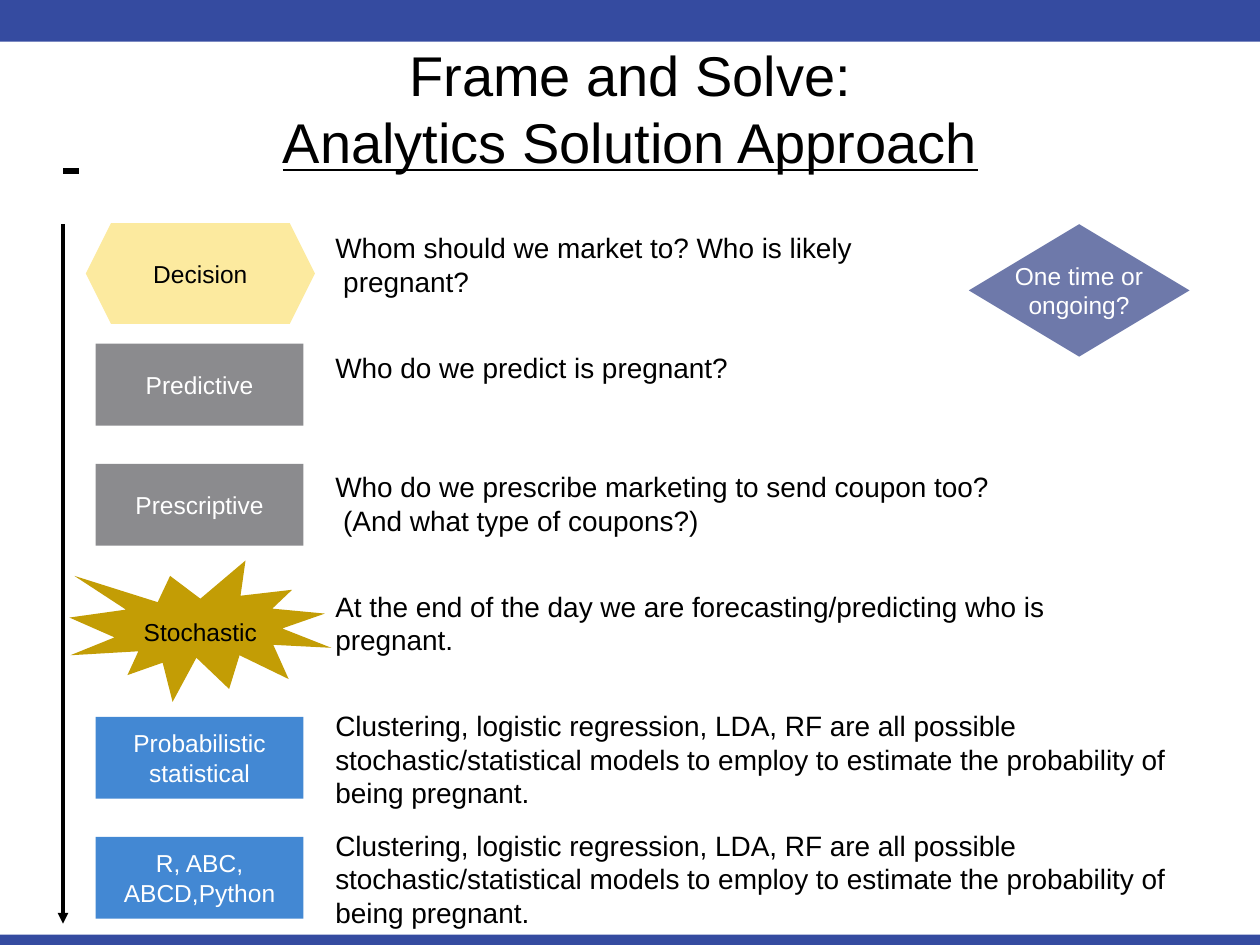
from lxml import etree
from pptx import Presentation
from pptx.dml.color import RGBColor
from pptx.enum import shapes, text
from pptx.oxml import ns
from pptx.util import Cm, Pt

BLUE, GREY, MID_BLUE = "354BA0", "8B8B8E", "4388D3"
BLACK, WHITE = "000000", "FFFFFF"


def paint(shape, color):
    """Give a shape a plain fill without line or shadow."""
    shape.fill.solid()
    shape.fill.fore_color.rgb = RGBColor.from_string(color)
    shape.line.fill.background()
    shape.shadow.inherit = False


def write(shape, lines, size, color, align, anchor):
    """Fill a shape with one paragraph per line, without insets."""
    frame = shape.text_frame
    frame.word_wrap = True
    frame.auto_size = text.MSO_AUTO_SIZE.NONE
    frame.vertical_anchor = anchor
    frame.margin_left = frame.margin_right = 0
    frame.margin_top = frame.margin_bottom = 0
    frame.text = lines
    for para in frame.paragraphs:
        para.alignment = align
        para.font.name = "Arial"
        para.font.size = Pt(size)
        para.font.color.rgb = RGBColor.from_string(color)


deck = Presentation()
deck.slide_width, deck.slide_height = Cm(25.4), Cm(19.05)
page = deck.slides.add_slide(deck.slide_layouts[5])

# Bands at the top and bottom edges
for top, height in ((0, 0.84), (18.84, 0.21)):
    band = page.shapes.add_shape(
        shapes.MSO_SHAPE.RECTANGLE, 0, Cm(top), deck.slide_width, Cm(height))
    paint(band, BLUE)

# Title
title = page.shapes.title
title.left, title.top, title.width, title.height = Cm(1.24), Cm(0.82), Cm(22.94), Cm(2.8)
write(title, "Frame and Solve:\nAnalytics Solution Approach", 32, BLACK,
      text.PP_ALIGN.CENTER, text.MSO_ANCHOR.TOP)
for para in title.text_frame.paragraphs:
    para.line_spacing = Pt(38.4)
title.text_frame.paragraphs[1].font.underline = True

# Title dash and the arrow down the left side: x1, y1, x2, y2, width, arrowhead
for x1, y1, x2, y2, width, head in (
        (1.27, 3.44, 1.6, 3.44, 3.5, False),
        (1.27, 4.52, 1.27, 18.62, 2.04, True)):
    line = page.shapes.add_connector(
        shapes.MSO_CONNECTOR.STRAIGHT, Cm(x1), Cm(y1), Cm(x2), Cm(y2))
    line.line.color.rgb = RGBColor.from_string(BLACK)
    line.line.width = Pt(width)
    if head:
        etree.SubElement(line.line._get_or_add_ln(), ns.qn("a:tailEnd"), type="triangle")
    etree.SubElement(line._element.spPr, ns.qn("a:effectLst"))

# Labelled shapes: preset, left, top, width, height, fill, text colour, label
RECT = shapes.MSO_SHAPE.RECTANGLE
for preset, left, top, width, height, fill, color, label in (
        (shapes.MSO_SHAPE.HEXAGON, 1.73, 4.5, 4.62, 2.03, "FCEA9F", BLACK, "Decision"),
        (shapes.MSO_SHAPE.DIAMOND, 19.53, 4.52, 4.45, 2.67, "6E79AA", WHITE,
         "One time or\nongoing?"),
        (RECT, 1.93, 6.93, 4.19, 1.65, GREY, WHITE, "Predictive"),
        (RECT, 1.93, 9.35, 4.19, 1.65, GREY, WHITE, "Prescriptive"),
        (RECT, 1.93, 14.45, 4.19, 1.65, MID_BLUE, WHITE, "Probabilistic\nstatistical"),
        (RECT, 1.93, 16.87, 4.19, 1.65, MID_BLUE, WHITE, "R, ABC,\nABCD,Python")):
    box = page.shapes.add_shape(preset, Cm(left), Cm(top), Cm(width), Cm(height))
    paint(box, fill)
    write(box, label, 14, color, text.PP_ALIGN.CENTER, text.MSO_ANCHOR.MIDDLE)
    box.text_frame.word_wrap = False

# Starburst, points in tenths of a millimetre
burst_points = (
    (150, 1161), (254, 1229), (140, 1245), (231, 1285), (142, 1321), (279, 1313),
    (257, 1361), (328, 1336), (348, 1415), (396, 1326), (462, 1389), (483, 1321),
    (582, 1369), (551, 1300), (668, 1306), (569, 1267), (655, 1237), (549, 1227),
    (589, 1189), (485, 1201), (495, 1130), (404, 1207), (343, 1161), (318, 1214))
builder = page.shapes.build_freeform(*burst_points[0], scale=Cm(0.01))
builder.add_line_segments(burst_points[1:], close=True)
burst = builder.convert_to_shape()
paint(burst, "C39D05")
write(burst, "Stochastic", 14, BLACK, text.PP_ALIGN.CENTER, text.MSO_ANCHOR.MIDDLE)

# Answers, one per row: width, indent of the wrapped line, wording
models = ("Clustering, logistic regression, LDA, RF are all possible stochastic/statistical "
          "models to employ to estimate the probability of being pregnant.")
answers = (
    (10.6, 0.16, "Whom should we market to? Who is likely pregnant?"),
    (8.2, 0, "Who do we predict is pregnant?"),
    (13.4, 0.16, "Who do we prescribe marketing to send coupon too? (And what type of coupons?)"),
    (14.5, 0, "At the end of the day we are forecasting/predicting who is pregnant."),
    (16.9, 0, models),
    (16.9, 0, models))
for row, (width, hang, wording) in enumerate(answers):
    answer = page.shapes.add_textbox(
        Cm(6.76), Cm(4.65 + 2.41 * row), Cm(width), Cm(1.42))
    write(answer, wording, 16, BLACK, text.PP_ALIGN.LEFT, text.MSO_ANCHOR.TOP)
    if hang:
        props = answer.text_frame.paragraphs[0]._p.get_or_add_pPr()
        props.set("marL", str(Cm(hang)))
        props.set("indent", str(-Cm(hang)))

deck.save("out.pptx")
